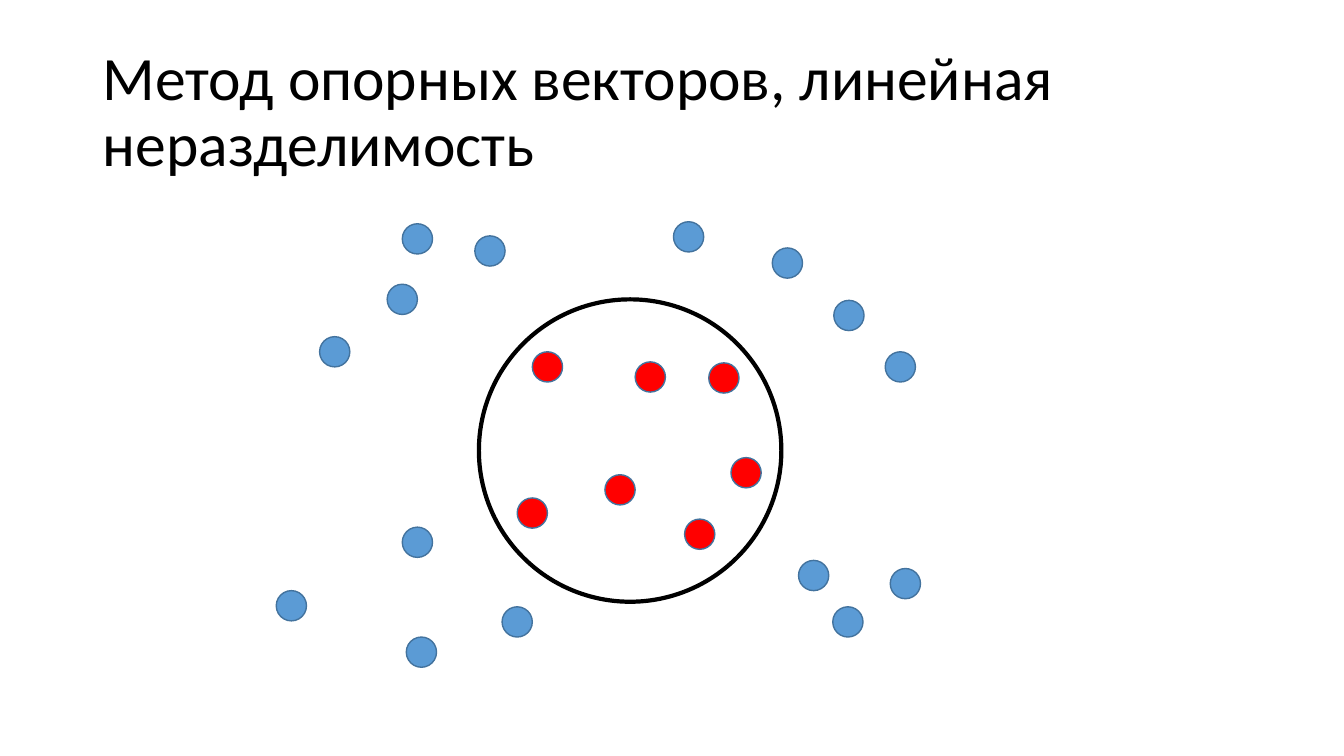
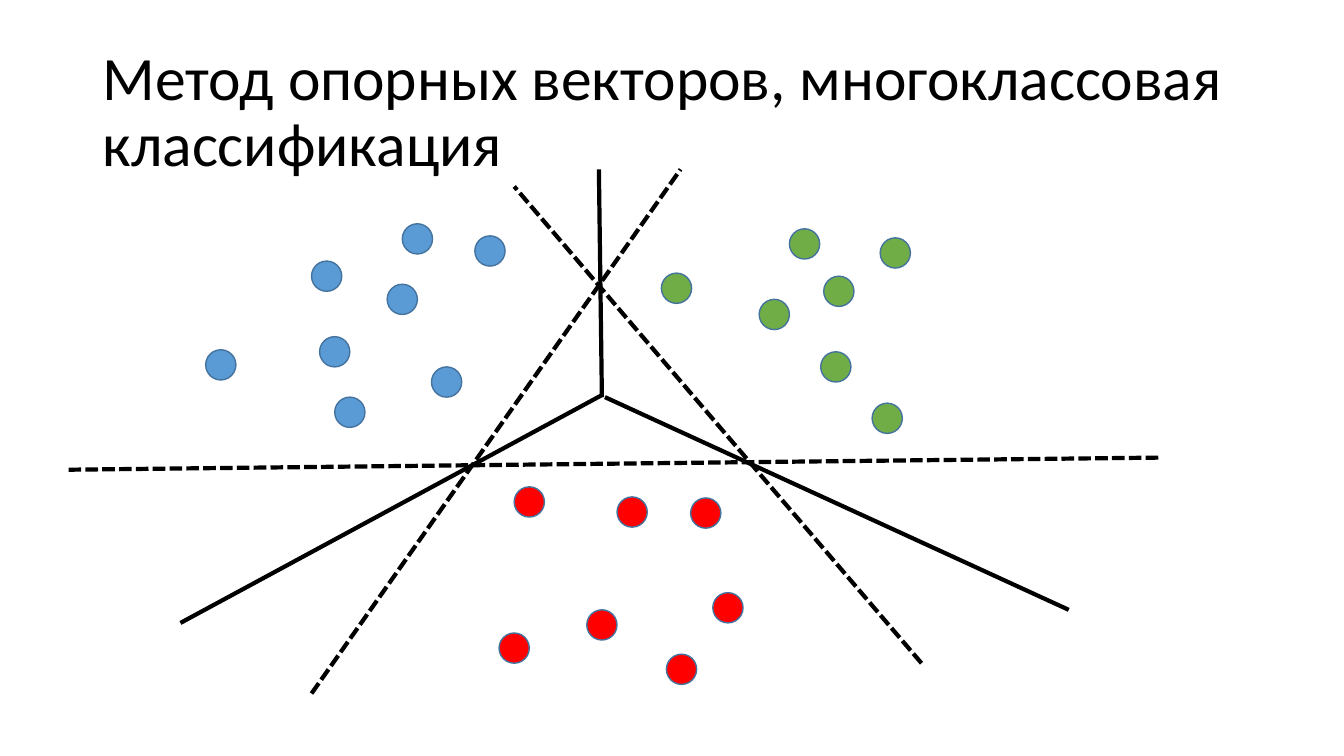
from lxml import etree
from pptx import Presentation
from pptx import util as u
from pptx.dml import color
from pptx.enum import dml, shapes, text
from pptx.oxml import ns

BLACK = color.RGBColor(0x00, 0x00, 0x00)
BLUE = color.RGBColor(0x5B, 0x9B, 0xD5)
RED = color.RGBColor(0xFF, 0x00, 0x00)
GREEN = color.RGBColor(0x70, 0xAD, 0x47)
OUTLINE = color.RGBColor(0x43, 0x73, 0x9E)

PX = 9144
WIDTH, HEIGHT = 1333, 750
DOT = 30

TITLE_BOX = (92, 40, 1150, 145)
TITLE_FONT = {"name": "Calibri", "size": u.Pt(44)}
TITLE_FRAME = {"word_wrap": True, "vertical_anchor": text.MSO_ANCHOR.MIDDLE}
SOLID = {"width": u.Pt(3)}
DASHED = {**SOLID, "dash_style": dml.MSO_LINE.SQUARE_DOT}
THIN = {"width": u.Pt(1)}

UPPER_LEFT = [(471, 234), (384, 282), (399, 222), (317, 334)]
OUTER = [
    (399, 523), (403, 632), (274, 586), (498, 602),
    (668, 220), (766, 246), (827, 298), (878, 349),
    (792, 556), (826, 602), (883, 564),
]
INNER = [(600, 471), (528, 349), (725, 454), (679, 515),
         (513, 494), (703, 360), (630, 359)]
LEFT_CLASS = [(309, 259), (332, 394), (204, 347), (428, 364)]
RIGHT_CLASS = [(656, 271), (783, 227), (753, 297), (814, 349),
               (817, 274), (865, 400), (873, 236)]
LOWER_SHIFT = (-18, 134)
CIRCLE = (475, 297, 300)

PAIR_LINES = [(914, 658, 510, 185), (68, 466, 1149, 454), (309, 688, 675, 168)]
BORDERS = [(597, 394, 594, 168), (1060, 605, 600, 394), (179, 618, 597, 392)]


def px(*values):
    return [u.Emu(value * PX) for value in values]


def apply(target, values):
    for name, value in values.items():
        setattr(target, name, value)


class Deck:
    def __init__(self):
        self.prs = Presentation()
        self.prs.slide_width, self.prs.slide_height = px(WIDTH, HEIGHT)
        self.s = None

    def slide(self, title):
        self.s = self.prs.slides.add_slide(self.prs.slide_layouts[6])
        tf = self.s.shapes.add_textbox(*px(*TITLE_BOX)).text_frame
        apply(tf, TITLE_FRAME)
        p = tf.paragraphs[0]
        p.line_spacing = 0.9
        r = p.add_run()
        r.text = title
        apply(r.font, TITLE_FONT)
        r.font.color.rgb = BLACK

    def stroke(self, line, rgb, style):
        line.color.rgb = rgb
        apply(line, style)

    def round(self, kind, x, y, size, rgb, style):
        sp = self.s.shapes.add_shape(kind, *px(x, y, size, size))
        sp.shadow.inherit = False
        self.stroke(sp.line, rgb, style)
        return sp

    def dots(self, points, fill, shift=(0, 0)):
        for x, y in points:
            sp = self.round(shapes.MSO_SHAPE.OVAL, x + shift[0], y + shift[1],
                            DOT, OUTLINE, THIN)
            sp.fill.solid()
            sp.fill.fore_color.rgb = fill

    def circle(self, x, y, size):
        sp = self.round(shapes.MSO_SHAPE.FLOWCHART_CONNECTOR, x, y, size, BLACK, SOLID)
        sp.fill.background()

    def lines(self, segments, style):
        for segment in segments:
            line = self.s.shapes.add_connector(
                shapes.MSO_CONNECTOR.STRAIGHT, *px(*segment))
            self.stroke(line.line, BLACK, style)
            etree.SubElement(line._element.spPr, ns.qn("a:effectLst"))


def main():
    deck = Deck()

    deck.slide("Метод опорных векторов, линейная неразделимость")
    deck.dots(UPPER_LEFT + OUTER, BLUE)
    deck.dots(INNER, RED)
    deck.circle(*CIRCLE)

    deck.slide("Метод опорных векторов, многоклассовая классификация")
    deck.dots(UPPER_LEFT + LEFT_CLASS, BLUE)
    deck.dots(INNER, RED, LOWER_SHIFT)
    deck.dots(RIGHT_CLASS, GREEN)
    deck.lines(PAIR_LINES, DASHED)
    deck.lines(BORDERS, SOLID)

    deck.prs.save("out.pptx")


if __name__ == "__main__":
    main()
